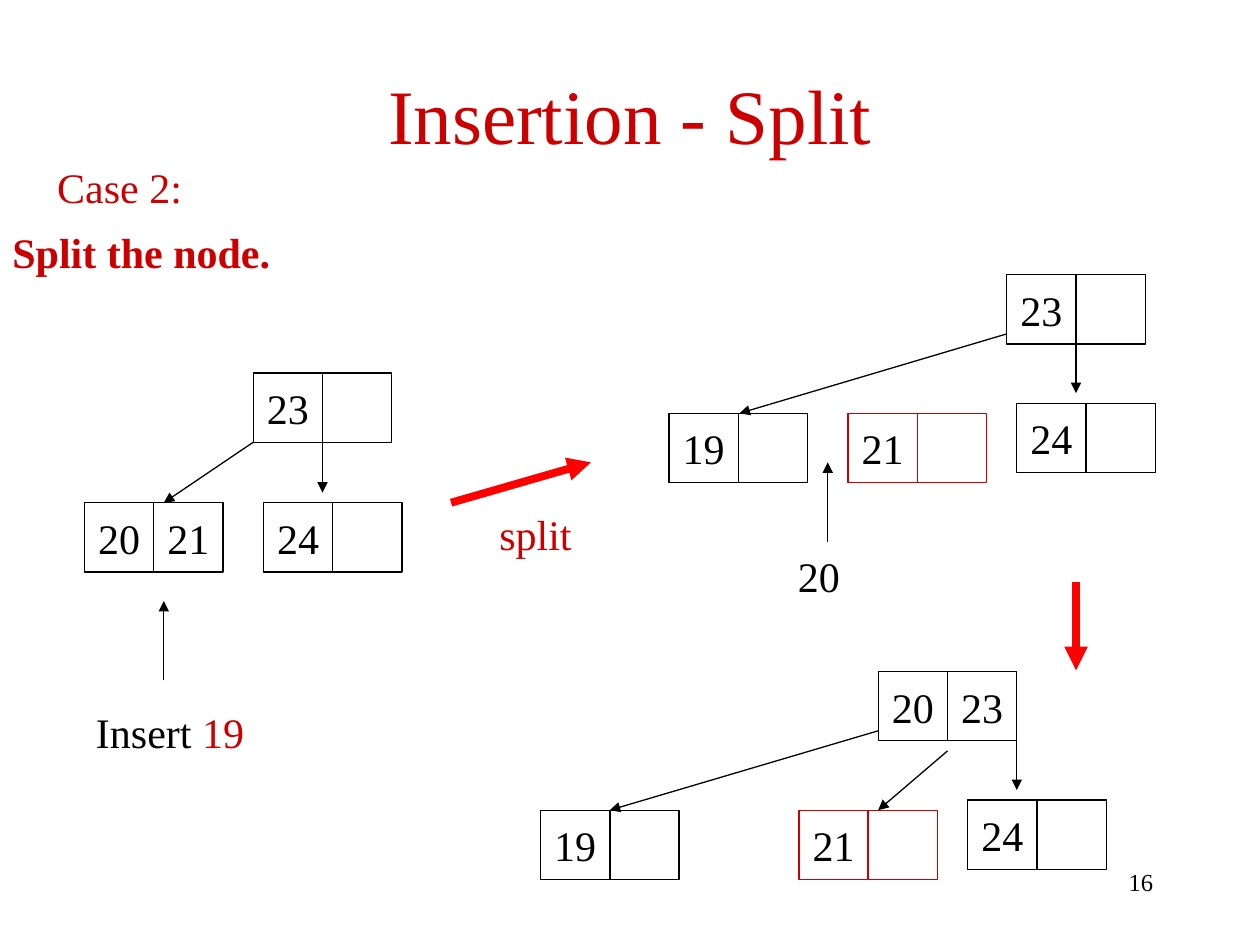
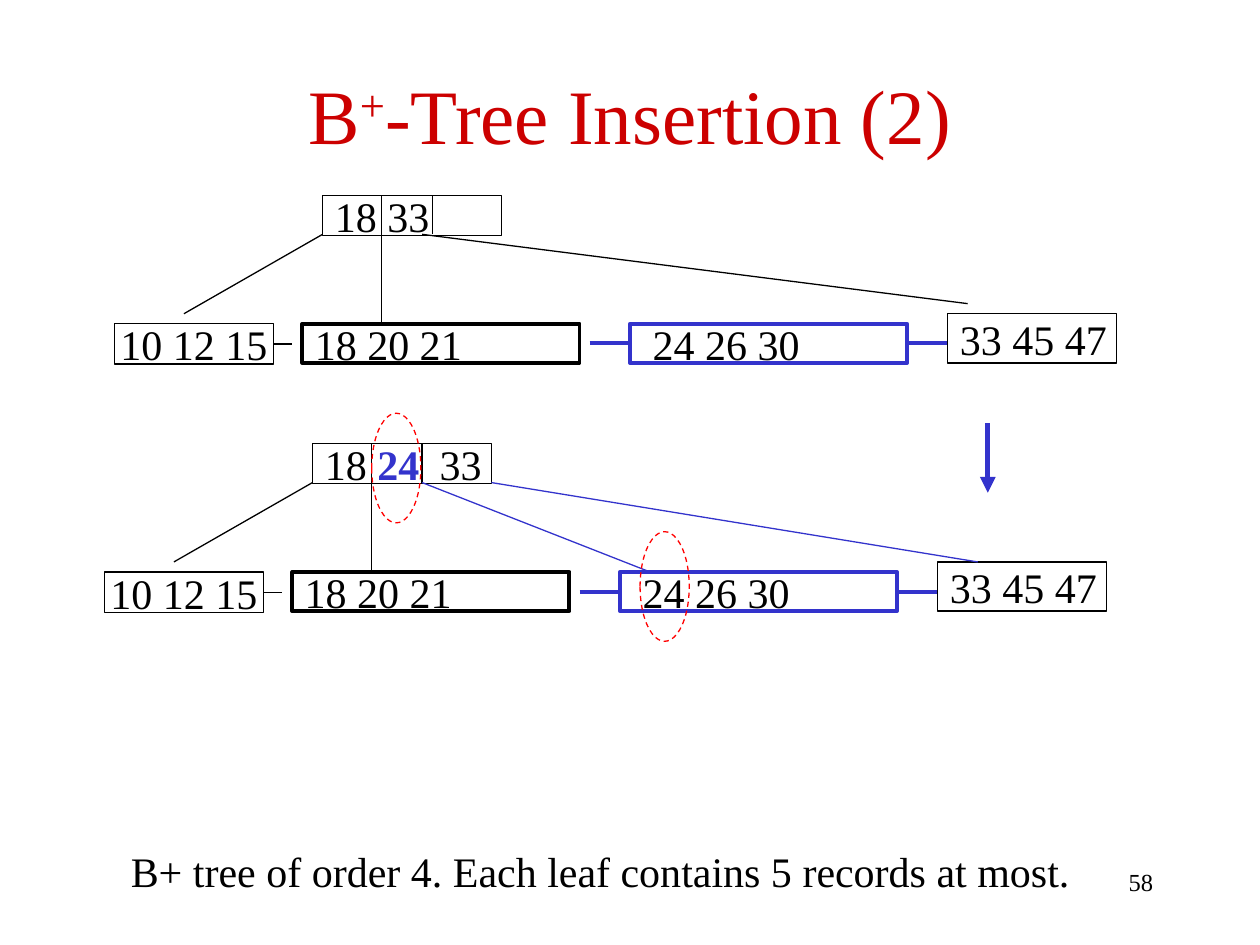
from dataclasses import dataclass
from lxml.etree import SubElement
from pptx import Presentation
from pptx.dml.color import RGBColor
from pptx.enum.dml import MSO_LINE
from pptx.enum.shapes import MSO_CONNECTOR, MSO_SHAPE
from pptx.enum.text import MSO_ANCHOR, PP_ALIGN
from pptx.oxml.ns import qn
from pptx.util import Inches, Pt


@dataclass(frozen=True)
class Theme:
    font: str = "Times New Roman"
    black: str = "000000"
    crimson: str = "CC0000"
    red: str = "FF0000"
    blue: str = "3333CC"
    title: int = 44
    body: int = 24
    number: int = 14
    thin: float = 0.75
    medium: float = 2.25
    heavy: float = 3
    bold: float = 4.5


T = Theme()
LEFT, CENTER, RIGHT = PP_ALIGN.LEFT, PP_ALIGN.CENTER, PP_ALIGN.RIGHT

# Slide 1: two-cell nodes as (left, top, keys, colour)
CELL = 0.55
SPLIT_NODES = [
    (2.01, 2.96, ["23", ""], T.black),
    (0.67, 3.99, ["20", "21"], T.black),
    (2.09, 3.99, ["24", ""], T.black),
    (7.99, 2.18, ["23", ""], T.black),
    (5.31, 3.28, ["19", ""], T.black),
    (6.73, 3.28, ["21", ""], T.crimson),
    (8.07, 3.20, ["24", ""], T.black),
    (6.97, 5.33, ["20", "23"], T.black),
    (4.29, 6.43, ["19", ""], T.black),
    (6.34, 6.43, ["21", ""], T.crimson),
    (7.68, 6.35, ["24", ""], T.black),
]
POINTERS = [
    ((2.01, 3.51), (1.30, 3.99)), ((2.56, 3.51), (2.56, 3.91)),
    ((1.30, 5.40), (1.30, 4.77)),
    ((7.99, 2.65), (5.87, 3.28)), ((8.54, 2.73), (8.54, 3.12)),
    ((6.57, 4.30), (6.57, 3.67)),
    ((6.97, 5.80), (4.84, 6.43)), ((8.07, 5.88), (8.07, 6.27)),
    ((7.52, 5.96), (6.97, 6.43)),
]
STEPS = [((3.58, 3.99), (4.69, 3.67)), ((8.54, 4.62), (8.54, 5.32))]
# Labels: box, runs
SPLIT_LABELS = [
    ((0.60, 5.56, 1.50, 0.5), [("Insert ", {}), ("19", {"color": T.crimson})]),
    ((6.15, 4.32, 0.70, 0.5), [("20", {})]),
    ((3.80, 3.99, 0.90, 0.5), [("split", {"color": T.crimson})]),
    ((0.30, 1.23, 1.30, 0.5), [("Case 2:", {"color": T.crimson})]),
]

# Slide 2: leaves as (box, keys, colour, line width, alignment, left inset)
LEAVES = [
    ((0.91, 2.57, 1.26, 0.32), "10 12 15", T.black, T.thin, CENTER, 0.1),
    ((2.40, 2.57, 2.20, 0.31), "18 20 21", T.black, T.medium, LEFT, 0.1),
    ((5.00, 2.57, 2.20, 0.31), "24 26 30", T.blue, T.medium, LEFT, 0.18),
    ((7.52, 2.49, 1.34, 0.39), "33 45 47", T.black, T.thin, LEFT, 0.1),
]
ROOT = (2.56, 1.55, 1.42, 0.32)
ROOT_BOTTOM, LINK_Y = 1.86, 2.73
DIVIDERS = [3.03, 3.43]
SHARED_EDGES = [((1.46, 2.49), (2.56, 1.86), T.black),
                ((3.03, 1.86), (3.03, 2.57), T.black)]
# The second tree repeats the first one, moved by its offset
TREES = [
    {"offset": (0, 0), "root": [("18 33", {})], "rings": [],
     "edges": [((3.35, 1.86), (7.68, 2.41), T.black)]},
    {"offset": (-0.08, 1.97),
     "root": [("18 ", {}), ("24", {"color": T.blue, "bold": True}), ("\t33", {})],
     "rings": [(3.03, 1.31, 0.39, 0.87), (5.16, 2.25, 0.39, 0.87)],
     "edges": [((3.98, 1.86), (7.84, 2.49), T.blue),
               ((3.43, 1.86), (5.24, 2.57), T.blue)]},
]
ROOT_TAB = 0.91
ORDER_NOTE = "B+ tree of order 4. Each leaf contains 5 records at most."


def rgb(color):
    return RGBColor.from_string(color)


def write(s, runs, size=T.body, align=CENTER, anchor=MSO_ANCHOR.TOP,
          wrap=False, inset=0.1, tab=None):
    tf = s.text_frame
    frame = {"word_wrap": wrap, "vertical_anchor": anchor,
             "margin_left": Inches(inset), "margin_right": Inches(0.1),
             "margin_top": Inches(0.05), "margin_bottom": Inches(0.05)}
    for name, value in frame.items():
        setattr(tf, name, value)
    p = tf.paragraphs[0]
    p.alignment = align
    if tab:
        tabs = SubElement(p._p.get_or_add_pPr(), qn("a:tabLst"))
        SubElement(tabs, qn("a:tab"), pos=str(Inches(tab)), algn="l")
    for text, style in runs:
        r = p.add_run()
        r.text = text
        font = {"name": T.font, "size": Pt(size), "bold": style.get("bold", False)}
        for name, value in font.items():
            setattr(r.font, name, value)
        r.font.color.rgb = rgb(style.get("color", T.black))
        if "raised" in style:
            r._r.get_or_add_rPr().set("baseline", str(style["raised"] * 1000))
    return p


def add_text(slide, box, runs, **layout):
    return write(slide.shapes.add_textbox(*map(Inches, box)), runs, **layout)


def add_outline(slide, box, color=T.black, width=T.thin, kind=MSO_SHAPE.RECTANGLE):
    s = slide.shapes.add_shape(kind, *map(Inches, box))
    s.shadow.inherit = False
    s.fill.background()
    s.line.color.rgb = rgb(color)
    s.line.width = Pt(width)
    return s


def add_line(slide, start, end, color=T.black, width=T.thin, arrow=False):
    c = slide.shapes.add_connector(MSO_CONNECTOR.STRAIGHT, *map(Inches, start + end))
    c.line.color.rgb = rgb(color)
    c.line.width = Pt(width)
    sp_pr = c._element.spPr
    if arrow:
        SubElement(sp_pr.find(qn("a:ln")), qn("a:tailEnd"), type="triangle")
    SubElement(sp_pr, qn("a:effectLst"))
    return c


def new_slide(prs, title, number):
    slide = prs.slides.add_slide(prs.slide_layouts[6])
    runs = [(text, {"color": T.crimson, **style}) for text, style in title]
    add_text(slide, (0.5, 0.4, 9, 1), runs, size=T.title,
             anchor=MSO_ANCHOR.MIDDLE, wrap=True)
    add_text(slide, (7.17, 6.83, 2.08, 0.5), [(number, {})], size=T.number,
             align=RIGHT, wrap=True)
    return slide


def build_split(prs):
    slide = new_slide(prs, [("Insertion - Split", {})], "16")
    p = add_text(slide, (0, 1.86, 10, 0.5),
                 [("Split the node.", {"color": T.crimson, "bold": True})],
                 align=LEFT, wrap=True)
    p.line_spacing = 0.7
    # Nodes
    for left, top, keys, color in SPLIT_NODES:
        for i, key in enumerate(keys):
            s = add_outline(slide, (left + i * CELL, top, CELL, CELL), color)
            if key:
                write(s, [(key, {})], anchor=MSO_ANCHOR.MIDDLE)
    # Pointers and step arrows
    for start, end in POINTERS:
        add_line(slide, start, end, arrow=True)
    for start, end in STEPS:
        add_line(slide, start, end, T.red, T.bold, arrow=True)
    for box, runs in SPLIT_LABELS:
        add_text(slide, box, runs)


def draw_tree(slide, tree):
    dx, dy = tree["offset"]

    def move(place):
        return (place[0] + dx, place[1] + dy) + place[2:]

    # Root with dividers
    root = add_outline(slide, move(ROOT))
    write(root, tree["root"], align=LEFT, anchor=MSO_ANCHOR.MIDDLE, tab=ROOT_TAB)
    for x in DIVIDERS:
        add_line(slide, move((x, ROOT[1])), move((x, ROOT_BOTTOM)))
    # Leaves
    leaves = []
    for box, keys, color, width, align, inset in LEAVES:
        s = add_outline(slide, move(box), color, width)
        write(s, [(keys, {})], align=align, anchor=MSO_ANCHOR.MIDDLE, inset=inset)
        leaves.append(s)
    # Links between neighbouring leaves
    first, _, third, _ = leaves
    c = add_line(slide, move((2.16, LINK_Y)), move((2.32, LINK_Y)))
    c.begin_connect(first, 3)
    c.end_y = c.begin_y
    c = add_line(slide, move((4.68, LINK_Y)), move((5.0, LINK_Y)), T.blue, T.medium)
    c.end_connect(third, 1)
    c.begin_y = c.end_y
    c = add_line(slide, move((7.2, LINK_Y)), move((7.52, LINK_Y)), T.blue, T.medium)
    c.begin_connect(third, 3)
    c.end_y = c.begin_y
    # Edges and highlight rings
    for start, end, color in SHARED_EDGES + tree["edges"]:
        add_line(slide, move(start), move(end), color)
    for box in tree["rings"]:
        s = add_outline(slide, move(box), T.red, kind=MSO_SHAPE.OVAL)
        s.line.dash_style = MSO_LINE.DASH


def build_bplus(prs):
    title = [("B", {}), ("+", {"raised": 30}), ("-Tree Insertion (2)", {})]
    slide = new_slide(prs, title, "58")
    for tree in TREES:
        draw_tree(slide, tree)
    add_line(slide, (7.84, 3.36), (7.84, 3.91), T.blue, T.heavy, arrow=True)
    add_text(slide, (0.9, 6.66, 7.73, 0.5), [(ORDER_NOTE, {})])


def main():
    prs = Presentation()
    prs.slide_width, prs.slide_height = Inches(10), Inches(7.5)
    build_split(prs)
    build_bplus(prs)
    prs.save("out.pptx")


if __name__ == "__main__":
    main()
